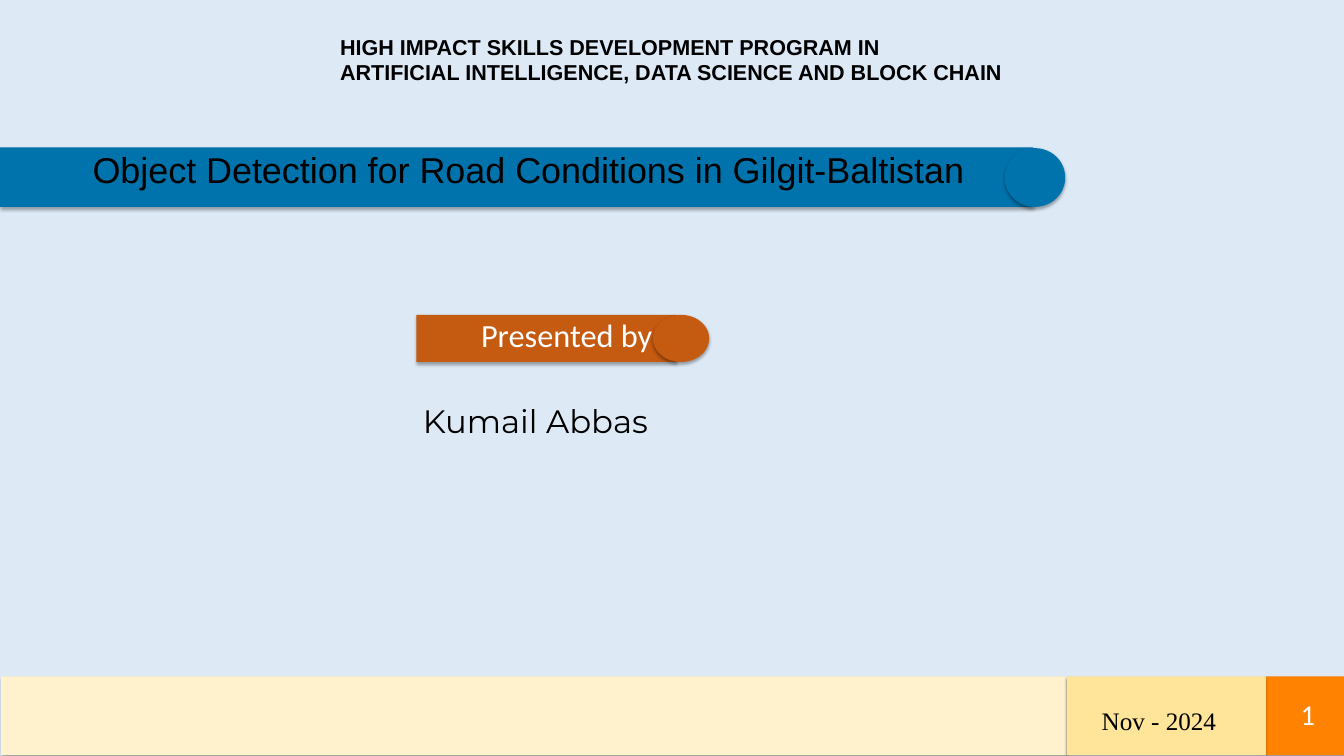
from lxml import etree
from pptx import Presentation
from pptx.dml.color import RGBColor
from pptx.enum.shapes import MSO_SHAPE
from pptx.enum.text import MSO_ANCHOR, MSO_AUTO_SIZE, PP_ALIGN
from pptx.oxml.ns import qn
from pptx.util import Cm, Pt

RECTANGLE, OVAL = MSO_SHAPE.RECTANGLE, MSO_SHAPE.OVAL
TOP, MIDDLE = MSO_ANCHOR.TOP, MSO_ANCHOR.MIDDLE
LEFT, CENTER, RIGHT = PP_ALIGN.LEFT, PP_ALIGN.CENTER, PP_ALIGN.RIGHT
NO_AUTOFIT = MSO_AUTO_SIZE.NONE

BLUE, RUST = "0073AC", "C55A11"
BLACK, WHITE = "000000", "FFFFFF"
rgb = RGBColor.from_string


def paint(shape, color):
    """Fill without an outline and drop a soft shadow straight down."""
    shape.fill.solid()
    shape.fill.fore_color.rgb = rgb(color)
    shape.line.fill.background()
    shape.shadow.inherit = False
    effects = shape._element.spPr.find(qn("a:effectLst"))
    shadow = etree.SubElement(effects, qn("a:outerShdw"), blurRad=str(Pt(3.5)),
                              dist=str(Pt(2.2)), dir="5400000", rotWithShape="0")
    shadow_color = etree.SubElement(shadow, qn("a:srgbClr"), val=BLACK)
    etree.SubElement(shadow_color, qn("a:alpha"), val="32000")


def write(shape, text, font_name, size, color, align=LEFT, anchor=TOP, bold=False):
    frame = shape.text_frame
    frame.text = text
    frame.word_wrap = True
    frame.auto_size = NO_AUTOFIT
    frame.vertical_anchor = anchor
    paragraph = frame.paragraphs[0]
    paragraph.alignment = align
    for run in paragraph.runs:
        run.font.name = font_name
        run.font.size = Pt(size)
        run.font.bold = bold
        run.font.color.rgb = rgb(color)


presentation = Presentation()
presentation.slide_width, presentation.slide_height = Cm(52.8), Cm(29.7)
slide = presentation.slides.add_slide(presentation.slide_layouts[5])
slide.background.fill.solid()
slide.background.fill.fore_color.rgb = rgb("DDEAF6")
shapes = slide.shapes

# Title bar and presenter label, each closed by a round cap
title = shapes.title
title.left, title.top, title.width, title.height = Cm(0), Cm(5.79), Cm(40.59), Cm(2.34)
paint(title, BLUE)
write(title, "Object Detection for Road Conditions in Gilgit-Baltistan",
      "Arial", 40, BLACK, align=CENTER)

presenter_label = shapes.add_shape(RECTANGLE, Cm(16.36), Cm(12.37), Cm(10.22), Cm(1.85))
paint(presenter_label, RUST)
write(presenter_label, "Presented by", "Calibri", 36, WHITE)

for bar, text_indent in ((title, 0.92), (presenter_label, 2.54)):
    frame = bar.text_frame
    frame.margin_left = Cm(text_indent)
    frame.margin_top = frame.margin_right = frame.margin_bottom = 0

for color, left, top, width, height in (
    (BLUE, 39.47, 5.82, 2.38, 2.31),
    (RUST, 25.65, 12.37, 2.21, 1.85),
):
    cap = shapes.add_shape(OVAL, Cm(left), Cm(top), Cm(width), Cm(height))
    paint(cap, color)

# Footer strip
for color, left, width in (
    ("FFF2CC", 0.05, 41.86),
    ("FF8200", 49.73, 3.12),
    ("FEE599", 41.91, 7.82),
):
    footer_block = shapes.add_shape(RECTANGLE, Cm(left), Cm(26.57), Cm(width), Cm(3.1))
    paint(footer_block, color)

# Free text
program = shapes.add_textbox(Cm(13.11), Cm(1.19), Cm(31.32), Cm(2.3))
write(program, "HIGH IMPACT SKILLS DEVELOPMENT PROGRAM IN\v"
      "ARTIFICIAL INTELLIGENCE, DATA SCIENCE AND BLOCK CHAIN",
      "Arial", 24, BLACK, bold=True)

presenter = shapes.add_textbox(Cm(16.36), Cm(15.65), Cm(13.2), Cm(1.9))
write(presenter, "Kumail Abbas", "Montserrat", 36, BLACK)

date = shapes.add_textbox(Cm(43.03), Cm(27.58), Cm(6.22), Cm(1.45))
write(date, "Nov - 2024", "Times New Roman", 28, BLACK)

page_number = shapes.add_textbox(Cm(50.32), Cm(27.53), Cm(1.6), Cm(1.07))
write(page_number, "1", "Calibri", 32, WHITE, align=RIGHT, anchor=MIDDLE)

presentation.save("out.pptx")
